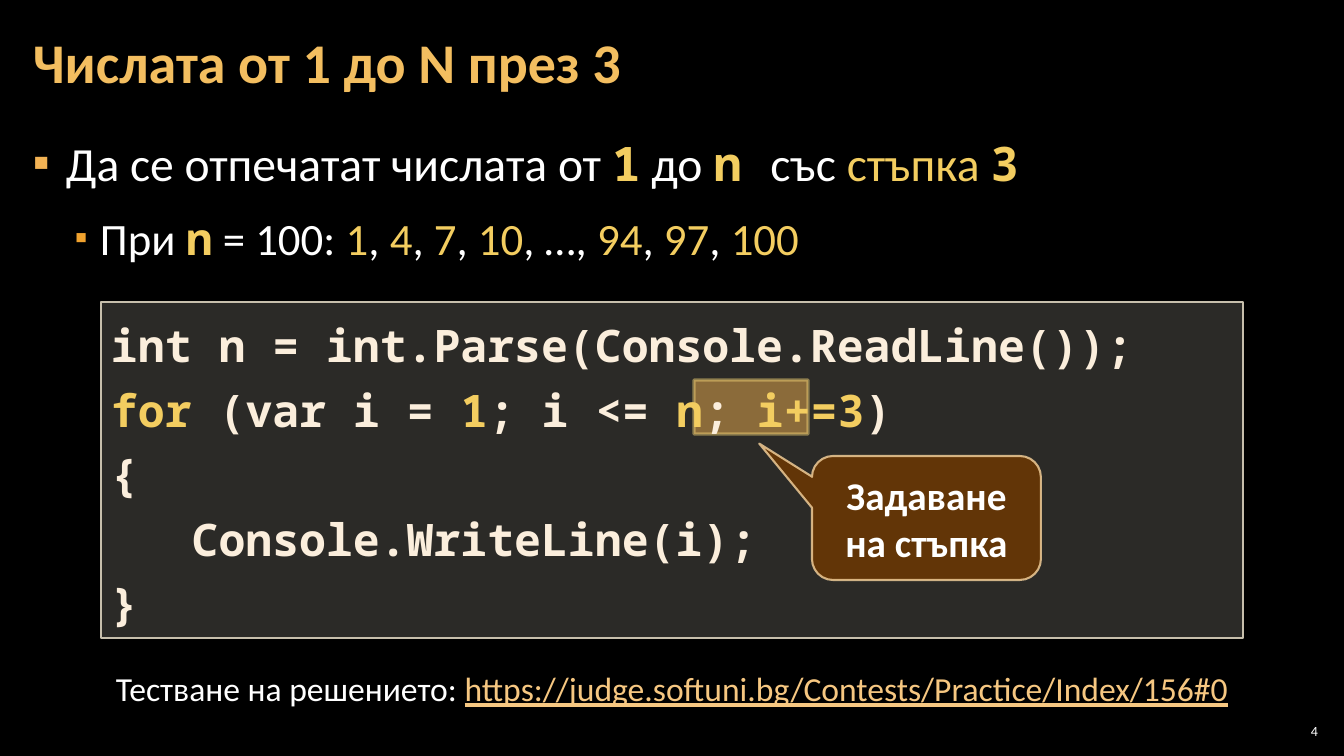
from lxml import etree
from pptx import Presentation
from pptx.dml.color import RGBColor
from pptx.enum.shapes import MSO_SHAPE as SHAPE
from pptx.enum.text import MSO_ANCHOR as ANCHOR, PP_ALIGN as ALIGN
from pptx.oxml.ns import qn
from pptx.util import Emu, Pt

COLORS = {
    "back": "000000", "white": "FFFFFF", "gold": "F3CD60", "title": "F3BE60",
    "bullet": "F2B254", "sub_bullet": "F0A22E", "highlight": "F0A22E",
    "code": "FBEEDC", "code_fill": "D9D5C7", "code_line": "C7BFAC",
    "callout": "663606", "callout_line": "F8D49E", "link": "F6C781",
}
SANS, MONO = "Calibri", "Noto Sans Mono"
WHITE = {"color": "white"}
GOLD = {"color": "gold"}
MONO_GOLD = {"color": "gold", "name": MONO, "bold": True}


class Deck:
    PX = 914400 / 100.8

    def __init__(self, width, height):
        self.prs = Presentation()
        self.prs.slide_width, self.prs.slide_height = self.px(width), self.px(height)
        self.s = self.prs.slides.add_slide(self.prs.slide_layouts[6])
        self.paint(self.s.background.fill, "back")

    def px(self, n):
        return Emu(round(n * self.PX))

    def paint(self, fill, color, alpha=100):
        fill.solid()
        fill.fore_color.rgb = RGBColor.from_string(COLORS[color])
        if alpha < 100:
            clr = fill._xPr.find(qn("a:solidFill"))[0]
            etree.SubElement(clr, qn("a:alpha"), val=str(alpha * 1000))

    def shape(self, kind, box, fill, line, width, adjust=()):
        """Add a shape; fill and line are (colour, opacity in percent)."""
        sp = self.s.shapes.add_shape(kind, *map(self.px, box))
        sp.shadow.inherit = False
        for i, value in enumerate(adjust):
            sp.adjustments[i] = value
        self.paint(sp.fill, *fill)
        self.paint(sp.line.fill, *line)
        sp.line.width = Pt(width)
        return sp

    def textbox(self, box, paragraphs, base, **frame):
        sp = self.s.shapes.add_textbox(*map(self.px, box))
        self.set_text(sp, paragraphs, base, **frame)

    def set_text(self, sp, paragraphs, base, inset=(10, 5), anchor=ANCHOR.TOP, **para):
        """Fill a frame; each paragraph is a list of (text, format) runs."""
        tf = sp.text_frame
        side, edge = map(self.px, inset)
        frame = {"word_wrap": True, "vertical_anchor": anchor,
                 "margin_left": side, "margin_right": side,
                 "margin_top": edge, "margin_bottom": edge}
        for key, value in frame.items():
            setattr(tf, key, value)
        for i, runs in enumerate(paragraphs):
            p = tf.add_paragraph() if i else tf.paragraphs[0]
            for key, value in ({"alignment": ALIGN.LEFT} | para).items():
                setattr(p, key, value)
            for text, style in runs:
                self.add_run(p, text, base | style)
        return tf

    def add_run(self, p, text, style):
        r = p.add_run()
        r.text = text
        for key, value in style.items():
            if key == "color":
                r.font.color.rgb = RGBColor.from_string(COLORS[value])
            else:
                setattr(r.font, key, value)

    def bullets(self, box, items, base):
        """Add a list; each item is (runs, size, bullet look)."""
        sp = self.s.shapes.add_textbox(*map(self.px, box))
        sized = [[(text, {"size": Pt(size)} | style) for text, style in runs]
                 for runs, size, _ in items]
        tf = self.set_text(sp, sized, base, inset=(12, 4), line_spacing=1.05,
                           space_after=Pt(6))
        for i, (p, (_, _, look)) in enumerate(zip(tf.paragraphs, items)):
            color, percent, left, hang = look
            pPr = p._p.get_or_add_pPr()
            pPr.set("marL", str(self.px(left)))
            pPr.set("indent", str(-self.px(hang)))
            clr = etree.SubElement(pPr, qn("a:buClr"))
            etree.SubElement(clr, qn("a:srgbClr"), val=COLORS[color])
            etree.SubElement(pPr, qn("a:buSzPct"), val=str(percent * 1000))
            etree.SubElement(pPr, qn("a:buFont"), typeface=SANS)
            etree.SubElement(pPr, qn("a:buChar"), char="▪")
            if i:
                p.level = 1
                p.space_before = Pt(6)


def main():
    deck = Deck(1344, 756)
    sans = {"name": SANS, "color": "white", "bold": False}

    deck.shape(SHAPE.RECTANGLE, (694, 380, 114, 54), ("highlight", 50), ("gold", 50), 2.25)
    deck.textbox((1275, 720, 47, 21), [[("4", {})]], sans | {"size": Pt(10)},
                 inset=(4, 4), anchor=ANCHOR.MIDDLE, alignment=ALIGN.RIGHT)

    task = [("Да се отпечатат числата от ", WHITE), ("1", MONO_GOLD), (" до ", WHITE),
            ("n ", MONO_GOLD), ("със ", WHITE), ("стъпка ", GOLD), ("3", MONO_GOLD)]
    example = [("При ", WHITE), ("n", MONO_GOLD), (" = 100: ", WHITE)]
    numbers = ["1", "4", "7", "10", "…", "94", "97", "100"]
    for i, number in enumerate(numbers):
        if i:
            example.append((", ", WHITE))
        example.append((number, WHITE if number == "…" else GOLD))
    deck.bullets((21, 127, 1301, 614),
                 [(task, 34, ("bullet", 100, 33, 33)),
                  (example, 32, ("sub_bullet", 80, 67, 25))], sans)

    deck.textbox((21, 4, 1055, 122), [[("Числата от 1 до N през 3", {})]],
                 {"name": SANS, "size": Pt(40), "bold": True, "color": "title"},
                 inset=(12, 4), anchor=ANCHOR.MIDDLE, line_spacing=0.9)

    code = [
        [("int n = int.Parse(Console.ReadLine());", {})],
        [("for", GOLD), (" (var i = ", {}), ("1", GOLD), ("; i <= ", {}),
         ("n", GOLD), ("; ", {}), ("i+=3", GOLD), (")", {})],
        [("{", {})],
        [("   Console.WriteLine(i);", {})],
        [("}", {})],
    ]
    sp = deck.shape(SHAPE.RECTANGLE, (101, 302, 1142, 336),
                    ("code_fill", 20), ("code_line", 100), 1)
    deck.set_text(sp, code, {"name": MONO, "size": Pt(32), "bold": True, "color": "code"},
                  line_spacing=1.2)

    sp = deck.shape(SHAPE.ROUNDED_RECTANGULAR_CALLOUT, (812, 456, 229, 124),
                    ("callout", 95), ("callout_line", 80), 1.5, (-0.73, -0.6, 0.17))
    deck.set_text(sp, [[("Задаване на стъпка", {})]],
                  sans | {"size": Pt(28), "bold": True},
                  anchor=ANCHOR.MIDDLE, alignment=ALIGN.CENTER)

    deck.textbox((84, 663, 1176, 50),
                 [[("Тестване на решението: ", {}),
                   ("https://judge.softuni.bg/Contests/Practice/Index/156#0",
                    {"color": "link", "underline": True})]],
                 sans | {"size": Pt(24)}, alignment=ALIGN.CENTER)
    deck.prs.save("out.pptx")


if __name__ == "__main__":
    main()
